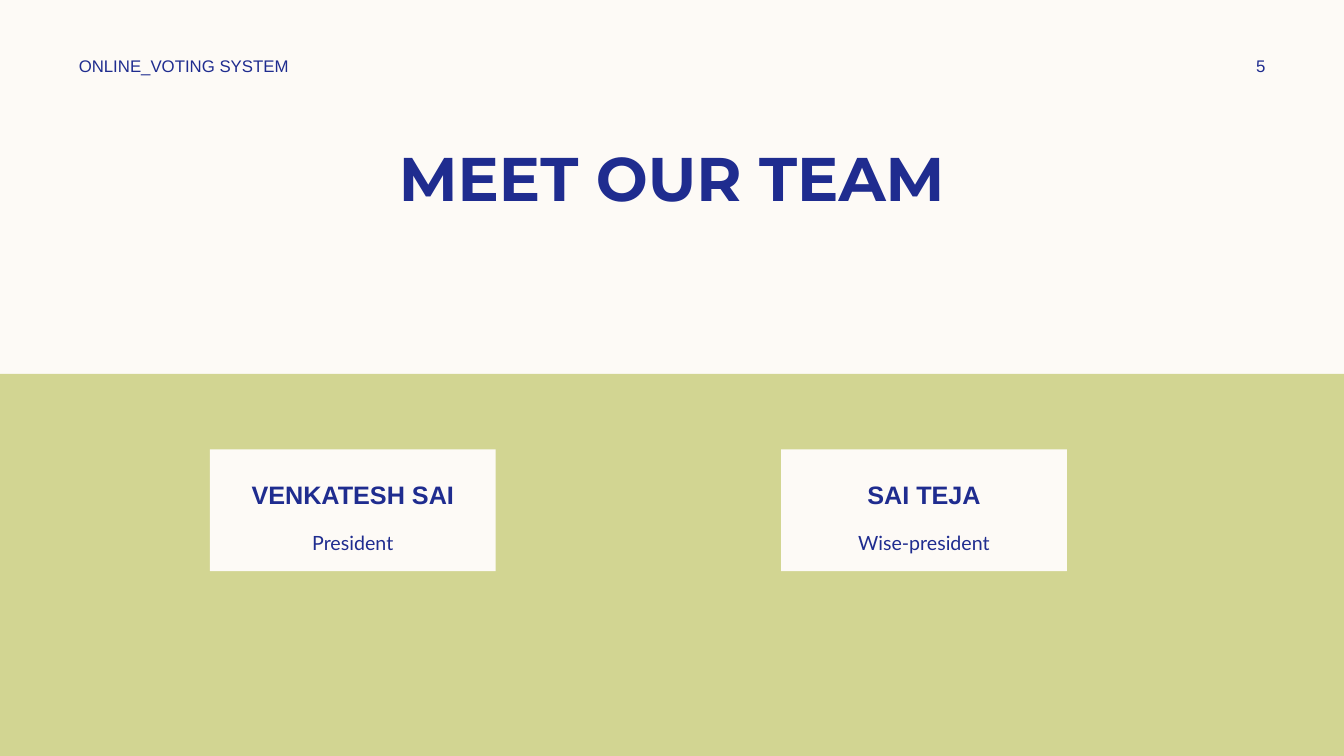
from pptx import Presentation, util as u
from pptx.dml.color import RGBColor
from pptx.enum import shapes, text

CREAM = RGBColor(0xFD, 0xFA, 0xF6)
OLIVE = RGBColor(0xD2, 0xD5, 0x92)
NAVY = RGBColor(0x1F, 0x2C, 0x8F)

presentation = Presentation()
presentation.slide_width = u.Inches(13.33)
presentation.slide_height = u.Inches(7.5)
slide = presentation.slides.add_slide(presentation.slide_layouts[6])
slide.background.fill.solid()
slide.background.fill.fore_color.rgb = CREAM

# Grid of 160 columns by 90 rows
COLUMN = presentation.slide_width / 160
ROW = presentation.slide_height / 90


def add_box(left, top, width, height, fill=None):
    """Add a text box, or a filled rectangle, placed in grid units."""
    area = [round(n) for n in (left * COLUMN, top * ROW, width * COLUMN, height * ROW)]
    if fill is None:
        return slide.shapes.add_textbox(*area)
    shape = slide.shapes.add_shape(shapes.MSO_SHAPE.RECTANGLE, *area)
    shape.shadow.inherit = False
    shape.fill.solid()
    shape.fill.fore_color.rgb = fill
    shape.line.fill.background()
    return shape


def write(shape, words, size, font, bold=False, align=text.PP_ALIGN.CENTER,
          anchor=text.MSO_ANCHOR.MIDDLE):
    """Set one styled paragraph in a shape and return it."""
    frame = shape.text_frame
    frame.word_wrap = True
    frame.vertical_anchor = anchor
    paragraph = frame.paragraphs[0]
    paragraph.text = words
    paragraph.alignment = align
    paragraph.font.size = u.Pt(size)
    paragraph.font.name = font
    paragraph.font.bold = bold
    paragraph.font.color.rgb = NAVY
    return paragraph


# Lower band
add_box(0, 44.5, 160, 45.5, OLIVE)

# Title, running header and slide number
write(add_box(10, 16, 140, 10), "MEET OUR TEAM", 44, "Montserrat", bold=True)
write(add_box(8.2, 6, 42, 3.6), "ONLINE_VOTING SYSTEM", 12, "Arial",
      align=text.PP_ALIGN.LEFT)
write(add_box(143.6, 6, 13, 3.6), "5", 12, "Arial")

# Team cards
team = [("VENKATESH SAI", "President"), ("SAI TEJA", "Wise-president")]
for index, (name, role) in enumerate(team):
    left = 25 + 68 * index
    card = add_box(left, 53.5, 34, 14.5, CREAM)
    write(card, name, 18, "Arial", bold=True, anchor=text.MSO_ANCHOR.TOP)
    card.text_frame.margin_left = card.text_frame.margin_right = 0
    card.text_frame.margin_top = u.Inches(0.3)
    card.text_frame.margin_bottom = u.Inches(0.05)
    paragraph = write(add_box(left + 2, 62.2, 30, 4.8), role, 14, "Lato")
    paragraph.space_before = u.Pt(3.6)

presentation.save("out.pptx")
